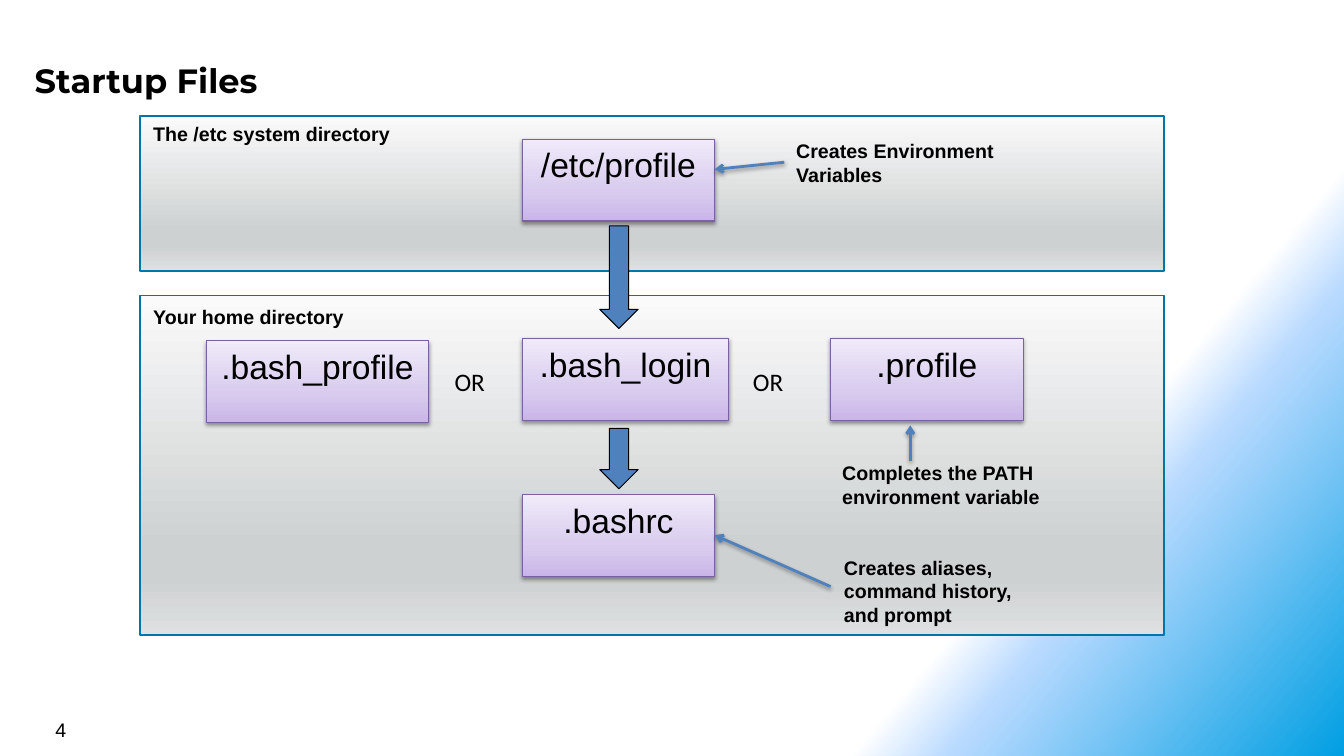
from lxml.etree import SubElement
from pptx import Presentation
from pptx.dml.color import RGBColor
from pptx.enum.shapes import MSO_CONNECTOR as CONNECTOR, MSO_SHAPE as SHAPE
from pptx.enum.text import MSO_ANCHOR as ANCHOR, MSO_AUTO_SIZE as AUTO_SIZE, PP_ALIGN as ALIGN
from pptx.oxml.ns import qn
from pptx.util import Pt

BLACK, BLUE, TEAL, PURPLE = "000000", "4F81BD", "0076A8", "7D60A0"
BACKGROUND = [(75, "FFFFFF"), (80, "B9DAFF"), (100, "009FE3")]
GREY_SHADES = [(0, "FAFAFA"), (74, "CED1D2"), (83, "CED1D2"), (100, "DEE0E1")]
PURPLE_SHADES = [(0, "C9B5E8"), (35, "D8CBEE"), (100, "F0EAF9")]

TITLE = ("Startup Files", (18.7, 36.7, 882.7, 39.6))
PAGE_NUMBER = ("4", (32.4, 509, 223.9, 23.8))
PANELS = [(100.1, 82.8, 731.5, 110.9), (100.1, 211, 731.5, 242.6)]
FILE_HEIGHT = 58.5
FILES = [
    ("/etc/profile", 373, 99.4, 137.5),
    (".profile", 593.3, 241.9, 137.5),
    (".bash_login", 373, 241.9, 147.6),
    (".bash_profile", 147.6, 243.4, 158.4),
    (".bashrc", 373, 353.5, 137.5),
]
DOWN_ARROWS = [(428.4, 161.3, 27.4, 73.4), (428.4, 306, 27.4, 43.2)]
OR_LEFTS = [306, 519.1]
LABELS = [
    ("Creates Environment Variables", (560.2, 94.3, 179.3, 43.9)),
    ("Completes the PATH environment variable", (593.3, 324.7, 179.3, 36)),
    ("Creates aliases, command history, and prompt", (594, 391.7, 149.8, 54)),
    ("The /etc system directory", (101.5, 82.8, 190.8, 25.9)),
    ("Your home directory", (101.5, 213.1, 190.8, 25.9)),
]
POINTERS = [
    (560.2, 115.9, 510.5, 121),
    (650.2, 329, 650.2, 303.8),
    (593.3, 419, 510.5, 382.3),
]


def color(value):
    return RGBColor.from_string(value)


def points(values):
    return [Pt(value) for value in values]


def set_gradient(fill, element, stops, angle):
    fill.gradient()
    gradient = element.find(".//" + qn("a:gradFill"))
    stop_list = gradient.find(qn("a:gsLst"))
    for stop in list(stop_list):
        stop_list.remove(stop)
    for position, value in stops:
        stop = SubElement(stop_list, qn("a:gs"), pos=str(position * 1000))
        SubElement(stop, qn("a:srgbClr"), val=value)
    linear = gradient.find(qn("a:lin"))
    linear.set("ang", str(angle * 60000))
    linear.set("scaled", "0")


def set_line(line, value, width):
    line.color.rgb = color(value)
    line.width = Pt(width)


def add_shadow(shape):
    properties = shape._element.spPr
    effects = properties.find(qn("a:effectLst"))
    if effects is None:
        effects = SubElement(properties, qn("a:effectLst"))
    shadow = SubElement(effects, qn("a:outerShdw"), blurRad=str(Pt(3.1)),
                        dist=str(Pt(1.6)), dir="5400000", rotWithShape="0")
    shade = SubElement(shadow, qn("a:srgbClr"), val=BLACK)
    SubElement(shade, qn("a:alpha"), val="38000")


def set_text(shape, text, size, font="Arial", bold=False, align=ALIGN.LEFT, anchor=ANCHOR.TOP):
    frame = shape.text_frame
    frame.text = text
    frame.word_wrap = True
    frame.vertical_anchor = anchor
    paragraph = frame.paragraphs[0]
    paragraph.alignment = align
    for run in paragraph.runs:
        run.font.size = Pt(size)
        run.font.name = font
        run.font.bold = bold
        run.font.color.rgb = color(BLACK)


def add_shape(slide, kind, box):
    shape = slide.shapes.add_shape(kind, *points(box))
    shape.shadow.inherit = False
    return shape


def add_text(slide, text, box, size, **style):
    shape = slide.shapes.add_textbox(*points(box))
    set_text(shape, text, size, **style)
    return shape


def add_file(slide, name, left, top, width):
    shape = add_shape(slide, SHAPE.RECTANGLE, (left, top, width, FILE_HEIGHT))
    set_gradient(shape.fill, shape._element, PURPLE_SHADES, 270)
    set_line(shape.line, PURPLE, 0.75)
    add_shadow(shape)
    set_text(shape, name, 24, align=ALIGN.CENTER)


def add_label(slide, text, box):
    shape = add_shape(slide, SHAPE.ROUNDED_RECTANGLE, box)
    shape.adjustments[0] = 0.11
    shape.fill.background()
    shape.line.fill.background()
    set_text(shape, text, 14, bold=True)
    shape.text_frame.auto_size = AUTO_SIZE.SHAPE_TO_FIT_TEXT


def add_pointer(slide, ends):
    pointer = slide.shapes.add_connector(CONNECTOR.STRAIGHT, *points(ends))
    set_line(pointer.line, BLUE, 2)
    SubElement(pointer.line._get_or_add_ln(), qn("a:tailEnd"), type="arrow")
    add_shadow(pointer)


def main():
    presentation = Presentation()
    presentation.slide_width, presentation.slide_height = Pt(960), Pt(540)
    slide = presentation.slides.add_slide(presentation.slide_layouts[6])
    set_gradient(slide.background.fill, slide._element, BACKGROUND, 40)

    for box in PANELS:
        panel = add_shape(slide, SHAPE.RECTANGLE, box)
        set_gradient(panel.fill, panel._element, GREY_SHADES, 90)
        set_line(panel.line, TEAL, 1)

    title = add_text(slide, *TITLE, 24, font="Montserrat", bold=True)
    frame = title.text_frame
    frame.margin_left = frame.margin_right = frame.margin_top = frame.margin_bottom = Pt(6)
    add_text(slide, *PAGE_NUMBER, 14, anchor=ANCHOR.MIDDLE)

    for file in FILES:
        add_file(slide, *file)
    for box in DOWN_ARROWS:
        arrow = add_shape(slide, SHAPE.DOWN_ARROW, box)
        arrow.fill.solid()
        arrow.fill.fore_color.rgb = color(BLUE)
        set_line(arrow.line, BLACK, 0.75)
    for left in OR_LEFTS:
        add_text(slide, "OR", (left, 257.8, 59, 29.5), 18, font="Calibri", align=ALIGN.CENTER)
    for label in LABELS:
        add_label(slide, *label)
    for ends in POINTERS:
        add_pointer(slide, ends)

    presentation.save("out.pptx")


if __name__ == "__main__":
    main()
